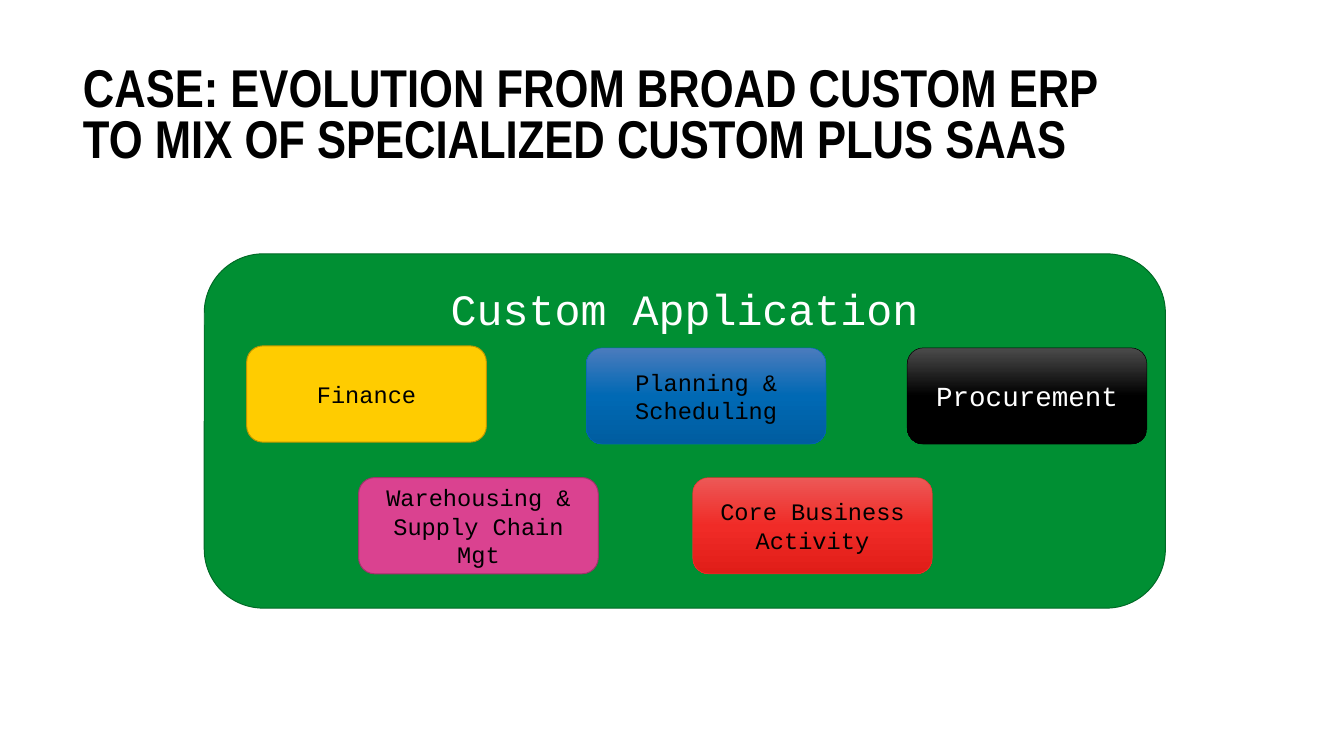
import copy

import pptx
import pptx.dml.color
import pptx.enum.dml
import pptx.enum.shapes
import pptx.enum.text
import pptx.oxml.ns
import pptx.util
from dataclasses import dataclass

Cm, Pt = pptx.util.Cm, pptx.util.Pt
ALIGN = pptx.enum.text.PP_ALIGN
ANCHOR = pptx.enum.text.MSO_ANCHOR


@dataclass(frozen=True)
class Theme:
    title_font: str = "Arial Narrow"
    body_font: str = "Courier New"
    title_size: int = 54
    heading_size: int = 44
    large_size: int = 28
    body_size: int = 24
    black: str = "000000"
    white: str = "FFFFFF"
    # Each style: fill colours from top to bottom, line colour, line width
    green: tuple = (["008F33"], "006A26", 1)
    yellow: tuple = (["FFCC00"], "BD9700", 1)
    pink: tuple = (["DA4290"], "A1316B", 1)
    blue: tuple = (["4B7BBD", "0069B4", "005DA0"], "0069B4", 0.5)
    red: tuple = (["EC5856", "F02B27", "E01D18"], "E73430", 0.5)
    dark: tuple = (["4B4B4B", "000000", "000000"], "000000", 0.5)


def rgb(value):
    return pptx.dml.color.RGBColor.from_string(value)


def write(tf, text, *, font, size, color, bold=False, align=ALIGN.CENTER,
          anchor=ANCHOR.MIDDLE, spacing=None):
    tf.word_wrap = True
    tf.auto_size = pptx.enum.text.MSO_AUTO_SIZE.NONE
    tf.vertical_anchor = anchor
    p = tf.paragraphs[0]
    p.alignment = align
    if spacing:
        p.line_spacing = spacing
    r = p.add_run()
    r.text = text
    r.font.name, r.font.size, r.font.bold = font, Pt(size), bold
    r.font.color.rgb = rgb(color)


class Deck:
    def __init__(self, prs, theme):
        self.theme = theme
        self.s = prs.slides.add_slide(prs.slide_layouts[5])

    def title(self, text, x, y, w, h):
        t, sp = self.theme, self.s.shapes.title
        sp.left, sp.top, sp.width, sp.height = Cm(x), Cm(y), Cm(w), Cm(h)
        write(sp.text_frame, text, font=t.title_font, size=t.title_size,
              color=t.black, bold=True, align=ALIGN.LEFT, spacing=0.8)

    def paint(self, sp, colors):
        if len(colors) == 1:
            sp.fill.solid()
            sp.fill.fore_color.rgb = rgb(colors[0])
            return
        sp.fill.gradient()
        sp.fill.gradient_angle = 270
        stops = sp._element.spPr.find(".//" + pptx.oxml.ns.qn("a:gsLst"))
        while len(stops) < len(colors):
            stops.append(copy.deepcopy(stops[-1]))
        for i, stop in enumerate(sp.fill.gradient_stops):
            stop.position = i / (len(colors) - 1)
            stop.color.rgb = rgb(colors[i])

    def box(self, text, x, y, w, h, style, *, size, color, anchor=ANCHOR.MIDDLE):
        sp = self.s.shapes.add_shape(
            pptx.enum.shapes.MSO_SHAPE.ROUNDED_RECTANGLE, Cm(x), Cm(y), Cm(w), Cm(h))
        sp.shadow.inherit = False
        colors, line, width = style
        self.paint(sp, colors)
        sp.line.color.rgb = rgb(line)
        sp.line.width = Pt(width)
        write(sp.text_frame, text, font=self.theme.body_font, size=size,
              color=color, anchor=anchor)
        return sp


def main():
    prs = pptx.Presentation()
    prs.slide_width, prs.slide_height = Cm(48.16), Cm(27.1)
    t = Theme()
    deck = Deck(prs, t)

    # Title
    deck.title("CASE: EVOLUTION FROM BROAD CUSTOM ERP TO MIX OF SPECIALIZED "
               "CUSTOM PLUS SAAS", 2.72, 2.34, 38.38, 3.73)

    # Custom application container, headed at the top
    app = deck.box("Custom Application", 7.32, 9.1, 34.44, 12.7, t.green,
                   size=t.heading_size, color=t.white, anchor=ANCHOR.TOP)
    app.text_frame.margin_top = Cm(0.41)

    # Modules inside the application
    upper, lower = 12.47, 17.12
    modules = [
        ("Finance", 8.84, 12.4, t.yellow, t.body_size, t.black),
        ("Warehousing & Supply Chain Mgt", 12.85, lower, t.pink, t.body_size, t.black),
        ("Planning & Scheduling", 21.01, upper, t.blue, t.body_size, t.black),
        ("Core Business Activity", 24.82, lower, t.red, t.body_size, t.black),
        ("Procurement", 32.51, upper, t.dark, t.large_size, t.white),
    ]
    for text, x, y, style, size, color in modules:
        deck.box(text, x, y, 8.59, 3.45, style, size=size, color=color)

    prs.save("out.pptx")


if __name__ == "__main__":
    main()
